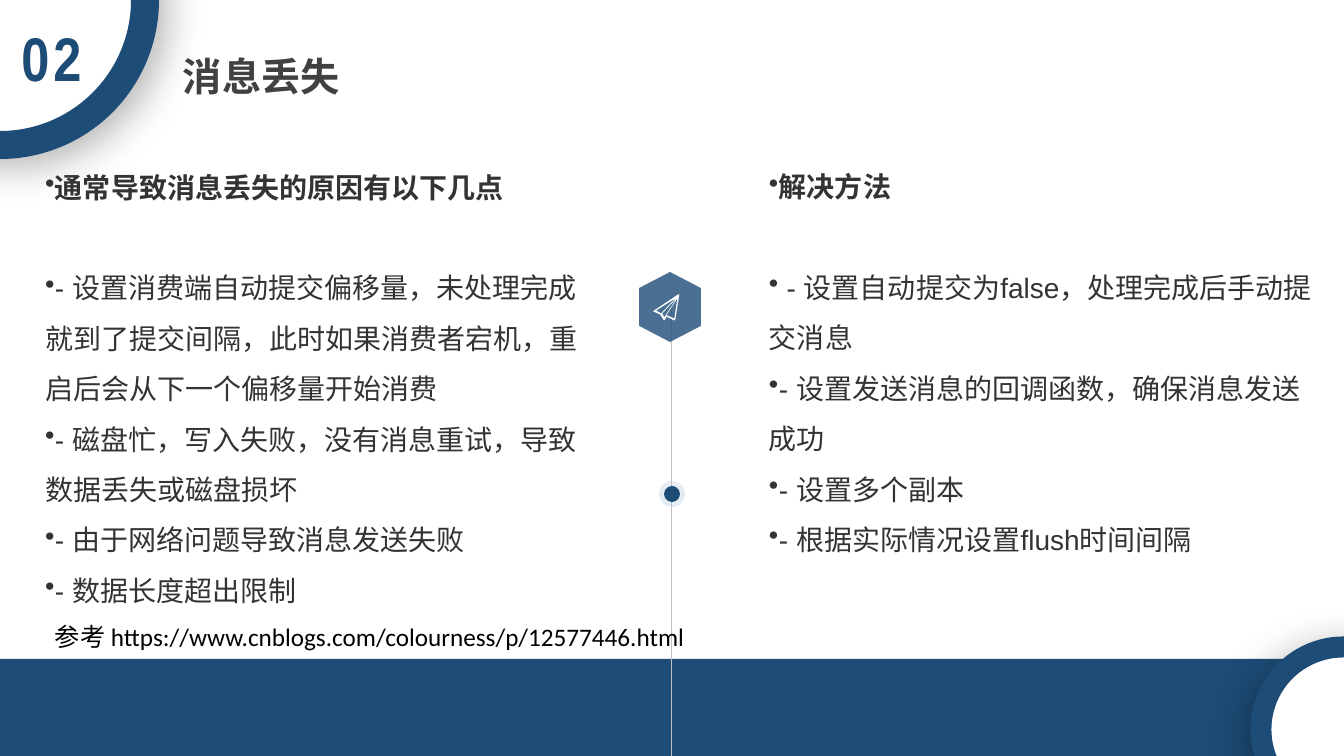
import pptx
import pptx.util
import pptx.dml.color
import pptx.enum.shapes
import pptx.enum.text
import pptx.oxml
import pptx.oxml.ns
import lxml.etree

RGB = pptx.dml.color.RGBColor
NAVY = RGB(0x1D, 0x4C, 0x77)
PALE = RGB(0x9F, 0xB8, 0xD6)
WHITE = RGB(0xFF, 0xFF, 0xFF)
BLACK = RGB(0, 0, 0)
DARK = RGB(0x41, 0x41, 0x41)
TEXT = RGB(0x33, 0x33, 0x33)
GREY = RGB(0xBF, 0xBF, 0xBF)

SCALE = 914400 / 100.8
WIDE, HIGH = 1344, 756
KIND = pptx.enum.shapes.MSO_SHAPE
ALIGN = pptx.enum.text.PP_ALIGN
ANCHOR = pptx.enum.text.MSO_ANCHOR

# Plane contours in tenths of a px: outer edge, then the three cut-outs
PLANE = [
    [(264, 3), (254, 3), (12, 165), (2, 175), (72, 205), (103, 255),
     (113, 265), (123, 255), (133, 225), (214, 265), (224, 255)],
    [(214, 245), (143, 215), (133, 215), (244, 44)],
    [(93, 195), (244, 34), (113, 235)],
    [(32, 165), (224, 44), (82, 195)],
]

CAUSES = [
    "- 设置消费端自动提交偏移量，未处理完成就到了提交间隔，此时如果消费者宕机，重启后会从下一个偏移量开始消费",
    "- 磁盘忙，写入失败，没有消息重试，导致数据丢失或磁盘损坏",
    "- 由于网络问题导致消息发送失败",
    "- 数据长度超出限制",
]
FIXES = [
    " - 设置自动提交为false，处理完成后手动提交消息",
    "- 设置发送消息的回调函数，确保消息发送成功",
    "- 设置多个副本",
    "- 根据实际情况设置flush时间间隔",
]


def px(n):
    return round(n * SCALE)


def add(parent, tag, **attrs):
    node = lxml.etree.SubElement(parent, pptx.oxml.ns.qn(tag))
    for key, value in attrs.items():
        node.set(key, str(value))
    return node


class Page:
    def __init__(self, slide):
        self.slide = slide
        self.shapes = slide.shapes

    def paint(self, shape, fill, alpha=100):
        """Give a flat fill, alpha in percent, with no line or shadow."""
        shape.shadow.inherit = False
        shape.fill.solid()
        shape.fill.fore_color.rgb = fill
        shape.line.fill.background()
        if alpha < 100:
            color = shape.fill._xPr.find(".//" + pptx.oxml.ns.qn("a:srgbClr"))
            add(color, "a:alpha", val=alpha * 1000)
        return shape

    def shape(self, kind, x, y, w, h, fill, alpha=100):
        item = self.shapes.add_shape(kind, px(x), px(y), px(w), px(h))
        return self.paint(item, fill, alpha)

    def ring(self, x, y, size, width, angle):
        """Draw a white disc with a navy rim and a soft shadow."""
        disc = self.shape(KIND.OVAL, x, y, size, size, WHITE)
        disc.line.color.rgb = NAVY
        disc.line.width = pptx.util.Pt(width)
        effects = disc._element.spPr.find(pptx.oxml.ns.qn("a:effectLst"))
        shade = add(effects, "a:outerShdw", blurRad=pptx.util.Pt(30),
                    dist=pptx.util.Pt(8), dir=angle * 60000,
                    algn="ctr", rotWithShape=0)
        color = add(shade, "a:srgbClr", val=str(BLACK))
        add(color, "a:alpha", val=30000)

    def line(self, x1, y1, x2, y2, color, width):
        straight = pptx.enum.shapes.MSO_CONNECTOR.STRAIGHT
        item = self.shapes.add_connector(straight, px(x1), px(y1), px(x2), px(y2))
        item.line.color.rgb = color
        item.line.width = pptx.util.Pt(width)
        add(item._element.spPr, "a:effectLst")

    def plane(self, x, y):
        first, *holes = PLANE
        pen = self.shapes.build_freeform(*first[0], scale=SCALE / 10)
        pen.add_line_segments(first[1:], close=True)
        for hole in holes:
            pen.move_to(*hole[0])
            pen.add_line_segments(hole[1:], close=True)
        self.paint(pen.convert_to_shape(px(x), px(y)), WHITE)

    def frame(self, x, y, w, h, wrap=True):
        box = self.shapes.add_textbox(px(x), px(y), px(w), px(h))
        box.text_frame.word_wrap = wrap
        box.text_frame.auto_size = pptx.enum.text.MSO_AUTO_SIZE.SHAPE_TO_FIT_TEXT
        return box.text_frame

    def run(self, para, text, size, face, color, bold=False):
        run = para.add_run()
        run.text = text
        run.font.size = pptx.util.Pt(size)
        run.font.name = face
        run.font.color.rgb = color
        run.font.bold = bold
        return run

    def label(self, x, y, w, h, text, size, face, color,
              bold=False, wrap=True, align=ALIGN.LEFT):
        para = self.frame(x, y, w, h, wrap).paragraphs[0]
        para.alignment = align
        return self.run(para, text, size, face, color, bold)

    def column(self, x, y, w, h, head, items):
        """Write a bold bulleted heading and, one line lower, its items."""
        frame = self.frame(x, y, w, h)
        frame.vertical_anchor = ANCHOR.MIDDLE
        frame.margin_left = frame.margin_right = 0
        frame.margin_top = frame.margin_bottom = px(14)
        for i, text in enumerate([head, *items]):
            para = frame.add_paragraph() if i else frame.paragraphs[0]
            para.line_spacing = 1.5
            if i == 1:
                para.space_before = pptx.util.Pt(36)
            add(para._p.get_or_add_pPr(), "a:buChar", char="•")
            self.run(para, text, 20, "Arial", TEXT, i == 0)


def main():
    deck = pptx.Presentation()
    deck.slide_width, deck.slide_height = px(WIDE), px(HIGH)
    page = Page(deck.slides.add_slide(deck.slide_layouts[6]))

    page.shape(KIND.RECTANGLE, 0, 659, WIDE, 97, NAVY)
    page.ring(-145, -145, 290, 20, 45)
    page.ring(1261, 647, 165, 15, 125)
    number = page.label(0, 15, 103, 85, "02", 44, "Arial Narrow", NAVY,
                        bold=True, align=ALIGN.CENTER)
    number._r.get_or_add_rPr().set("spc", "300")
    page.label(173, 47, 178, 57, "消息丢失", 28, "Calibri", DARK,
               bold=True, wrap=False)

    page.line(671, 296, 671, HIGH, GREY, 0.5)
    page.shape(KIND.OVAL, 659, 481, 26, 26, PALE, 26)
    page.shape(KIND.OVAL, 664, 486, 16, 16, NAVY)
    badge = page.shape(KIND.HEXAGON, 635, 276, 70, 62, NAVY, 80)
    badge.rotation = 90
    badge.adjustments[0] = 0.26
    page.plane(653, 294)

    page.column(45, 140, 558, 480, "通常导致消息丢失的原因有以下几点", CAUSES)
    page.column(769, 140, 554, 429, "解决方法", FIXES)
    page.label(45, 616, 834, 40,
               "参考 https://www.cnblogs.com/colourness/p/12577446.html",
               18, "Calibri", BLACK)
    deck.save("out.pptx")


if __name__ == "__main__":
    main()
